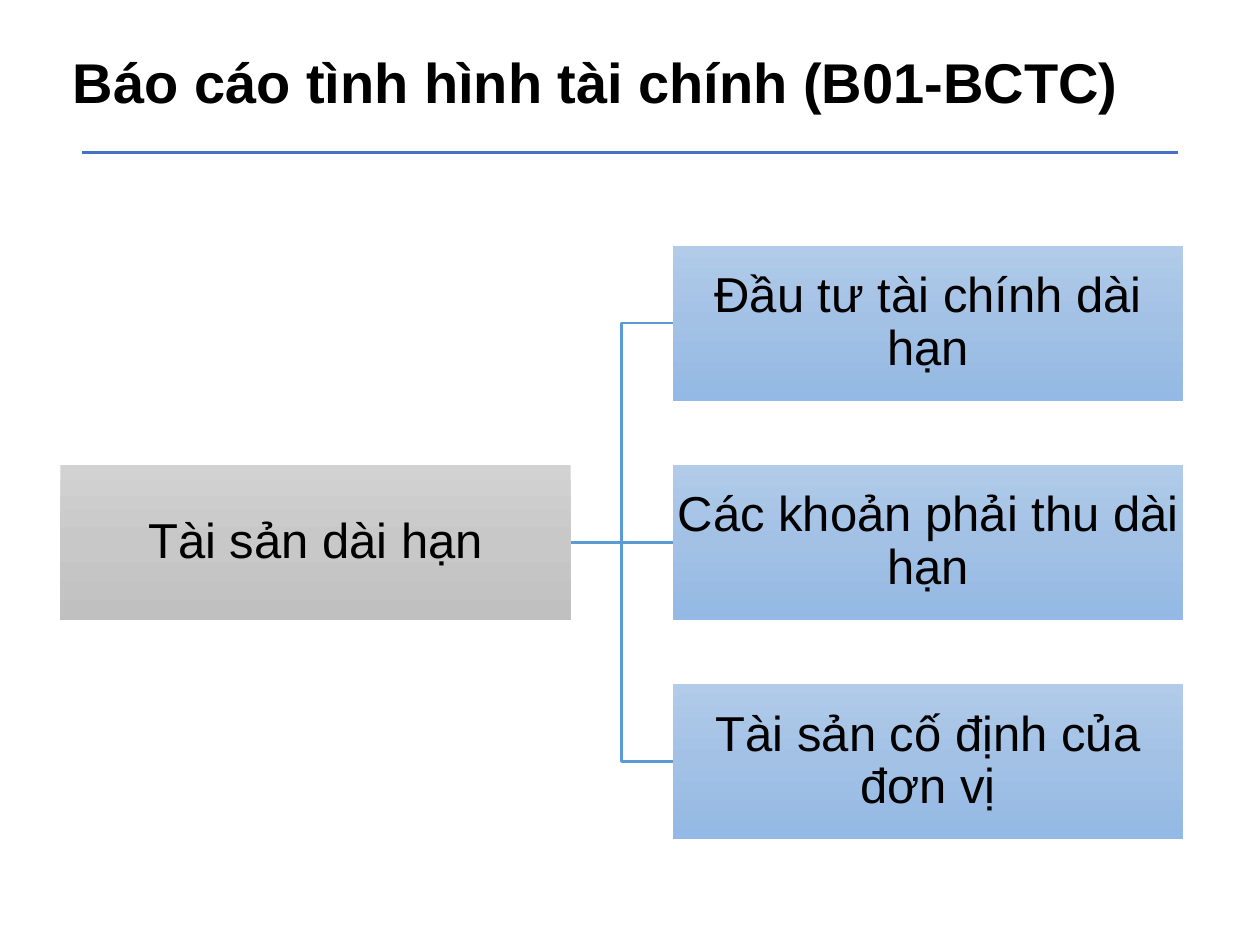
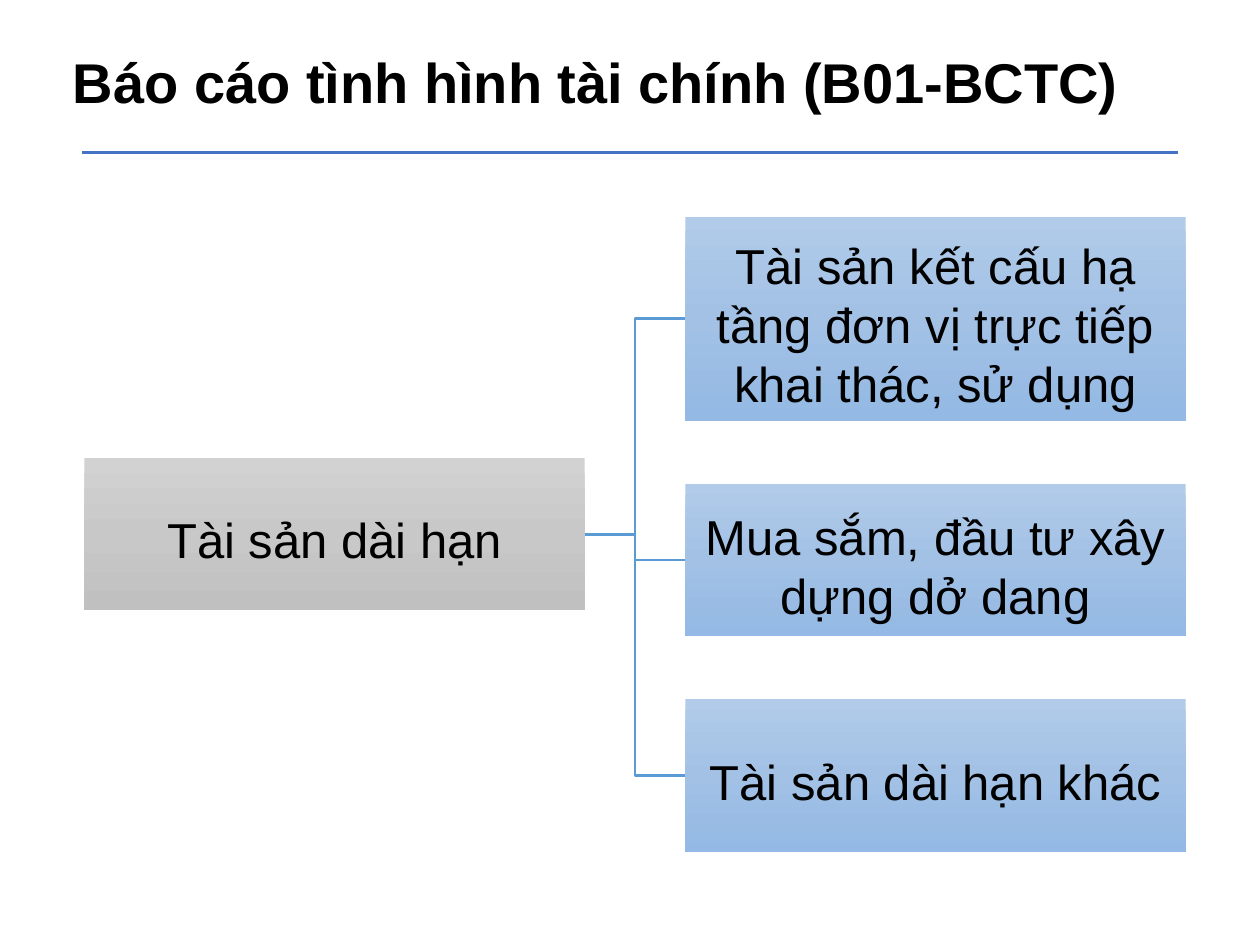
from copy import deepcopy
from dataclasses import dataclass

from pptx import Presentation
from pptx.dml.color import RGBColor
from pptx.enum.shapes import MSO_CONNECTOR, MSO_SHAPE
from pptx.enum.text import MSO_ANCHOR, MSO_AUTO_SIZE, PP_ALIGN
from pptx.oxml.ns import qn
from pptx.oxml.xmlchemy import OxmlElement
from pptx.shapes.autoshape import Shape
from pptx.shapes.connector import Connector
from pptx.slide import Slide
from pptx.text.text import Font
from pptx.util import Inches, Pt

COLORS = {"text": "000000", "rule": "4472C4", "branch_line": "5B9BD5"}
GRADIENTS = {
    "root": ("D2D2D2", "C8C8C8", "C0C0C0"),
    "branch": ("B1CBE9", "A3C1E5", "93B9E4"),
}
FONT_NAME = "Arial"
TITLE = "Báo cáo tình hình tài chính (B01-BCTC)"
ROOT_TEXT = "Tài sản dài hạn"
INSET = 0.02


@dataclass
class Branch:
    text: str
    height: float


@dataclass
class Tree:
    """Sizes are in inches; the root is centred on the column of branches."""
    left: float
    top: float
    box_width: float
    root_height: float
    level_gap: float
    row_gap: float
    line_spacing: float
    top_inset: float
    branches: list[Branch]


TREES = [
    Tree(0.48, 1.95, 4.05, 1.23, 0.81, 0.51, 0.9, INSET, [
        Branch("Đầu tư tài chính dài hạn", 1.23),
        Branch("Các khoản phải thu dài hạn", 1.23),
        Branch("Tài sản cố định của đơn vị", 1.23),
    ]),
    Tree(0.67, 1.72, 3.97, 1.21, 0.8, 0.5, 1.0, 0.1, [
        Branch("Tài sản kết cấu hạ tầng đơn vị trực tiếp khai thác, sử dụng", 1.62),
        Branch("Mua sắm, đầu tư xây dựng dở dang", 1.21),
        Branch("Tài sản dài hạn khác", 1.21),
    ]),
]


def style_font(font: Font, size: int, bold: bool = False) -> None:
    font.name = FONT_NAME
    font.size = Pt(size)
    font.bold = bold
    font.color.rgb = RGBColor.from_string(COLORS["text"])


def style_line(connector: Connector, color: str) -> None:
    connector.line.color.rgb = RGBColor.from_string(COLORS[color])
    connector.line.width = Pt(1.5)
    connector._element.spPr.append(OxmlElement("a:effectLst"))


def fill_gradient(shape: Shape, colors: tuple[str, str, str]) -> None:
    """Fill from top to bottom with three evenly spaced colours."""
    shape.fill.gradient()
    shape.fill.gradient_angle = 270
    stop_list = shape._element.spPr.find(qn("a:gradFill")).find(qn("a:gsLst"))
    stop_list.insert(1, deepcopy(stop_list[0]))
    for index, (stop, color) in enumerate(zip(shape.fill.gradient_stops, colors)):
        stop.position = index / 2
        stop.color.rgb = RGBColor.from_string(color)


def add_heading(slide: Slide) -> None:
    rule = slide.shapes.add_connector(
        MSO_CONNECTOR.STRAIGHT, Inches(0.65), Inches(1.21), Inches(9.35), Inches(1.21))
    style_line(rule, "rule")

    title = slide.shapes.add_textbox(Inches(0.48), Inches(0.33), Inches(8.65), Inches(0.64))
    text_frame = title.text_frame
    text_frame.word_wrap = True
    text_frame.auto_size = MSO_AUTO_SIZE.SHAPE_TO_FIT_TEXT
    text_frame.text = TITLE
    paragraph = text_frame.paragraphs[0]
    paragraph.alignment = PP_ALIGN.JUSTIFY
    style_font(paragraph.runs[0].font, 32, bold=True)


def add_box(slide: Slide, tree: Tree, text: str, gradient: str,
            left: float, top: float, height: float) -> Shape:
    box = slide.shapes.add_shape(
        MSO_SHAPE.RECTANGLE, Inches(left), Inches(top), Inches(tree.box_width), Inches(height))
    box.shadow.inherit = False
    box.line.fill.background()
    fill_gradient(box, GRADIENTS[gradient])

    text_frame = box.text_frame
    text_frame.word_wrap = True
    text_frame.vertical_anchor = MSO_ANCHOR.MIDDLE
    text_frame.margin_left = text_frame.margin_right = Inches(INSET)
    text_frame.margin_top = Inches(tree.top_inset)
    text_frame.margin_bottom = Inches(INSET)
    text_frame.text = text
    paragraph = text_frame.paragraphs[0]
    paragraph.alignment = PP_ALIGN.CENTER
    paragraph.line_spacing = tree.line_spacing
    style_font(paragraph.runs[0].font, 28)
    return box


def join_boxes(slide: Slide, root: Shape, branch: Shape) -> None:
    root_middle = root.top + root.height // 2
    branch_middle = branch.top + branch.height // 2
    is_level = abs(root_middle - branch_middle) < Inches(0.01)
    kind = MSO_CONNECTOR.STRAIGHT if is_level else MSO_CONNECTOR.ELBOW
    connector = slide.shapes.add_connector(
        kind, root.left + root.width, root_middle, branch.left, branch_middle)
    connector.begin_connect(root, 3)
    connector.end_connect(branch, 1)
    style_line(connector, "branch_line")


def add_tree(slide: Slide, tree: Tree) -> None:
    column_height = (sum(branch.height for branch in tree.branches)
                     + tree.row_gap * (len(tree.branches) - 1))
    root_top = tree.top + (column_height - tree.root_height) / 2
    root = add_box(slide, tree, ROOT_TEXT, "root", tree.left, root_top, tree.root_height)

    branch_left = tree.left + tree.box_width + tree.level_gap
    top = tree.top
    for branch in tree.branches:
        box = add_box(slide, tree, branch.text, "branch", branch_left, top, branch.height)
        join_boxes(slide, root, box)
        top += branch.height + tree.row_gap


def main() -> None:
    presentation = Presentation()
    presentation.slide_width = Inches(10)
    presentation.slide_height = Inches(7.5)
    blank_layout = presentation.slide_layouts[6]
    for tree in TREES:
        slide = presentation.slides.add_slide(blank_layout)
        add_heading(slide)
        add_tree(slide, tree)
    presentation.save("out.pptx")


if __name__ == "__main__":
    main()
